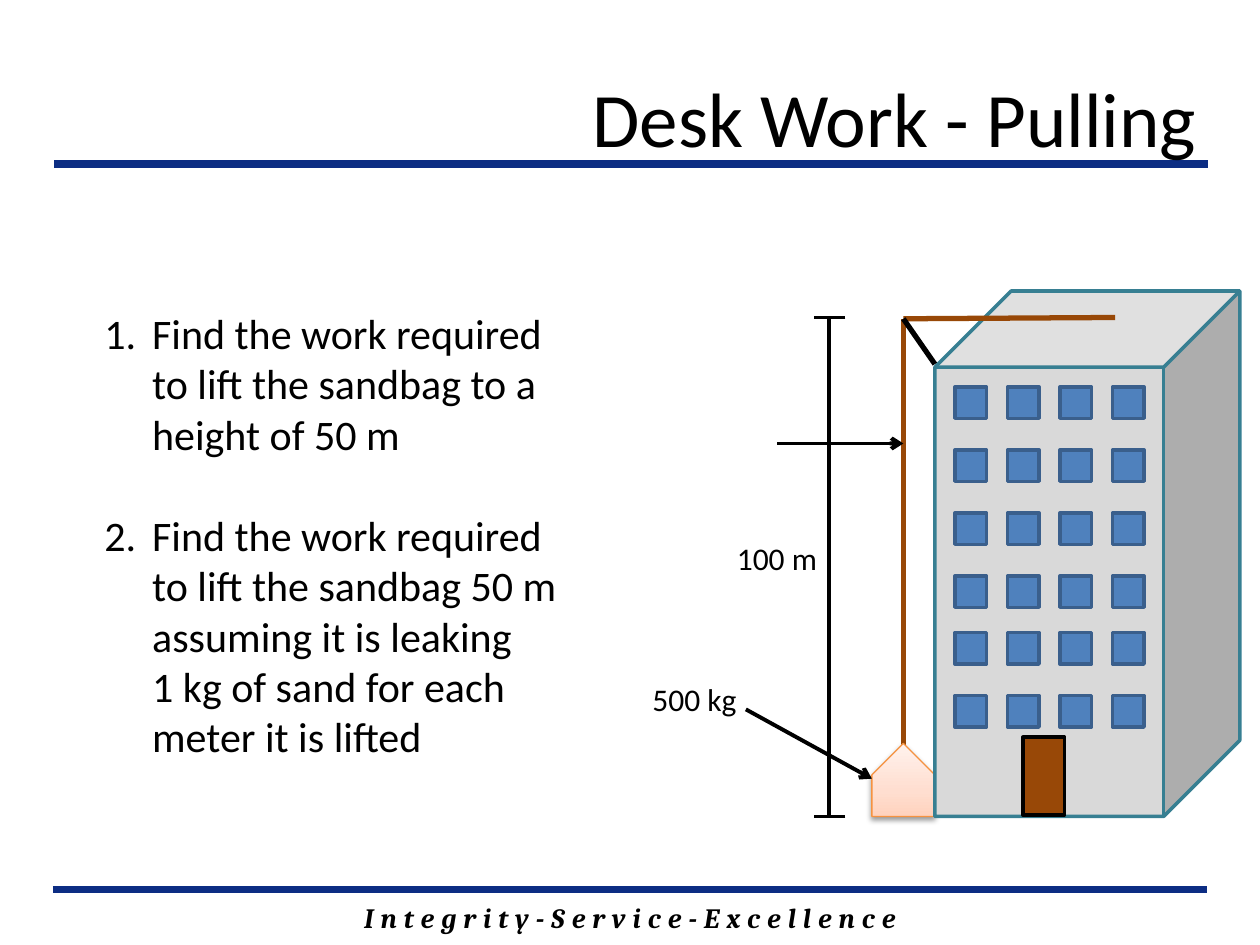
"""Build the 'Desk Work - Pulling' slide: two work problems beside a sandbag hoisted up a building."""
from dataclasses import dataclass

from lxml import etree
from pptx import Presentation
from pptx import util as u
from pptx.dml.color import RGBColor
from pptx.enum import shapes, text
from pptx.oxml import ns, parse_xml


@dataclass(frozen=True)
class Theme:
    ink: str = "000000"
    rule: str = "0C2D83"
    rope: str = "984807"
    wall: str = "D9D9D9"
    wall_edge: str = "377F92"
    window: str = "4F81BD"
    window_edge: str = "3A5F8C"
    bag_edge: str = "F69240"
    bag_stops: tuple = ((0, "FFD2BD"), (35, "FFDED0"), (100, "FFF2ED"))
    body_font: str = "Calibri"
    motto_font: str = "Cambria"
    title_size: int = 44
    body_size: int = 24
    label_size: int = 18
    motto_size: int = 16


theme = Theme()
prs = Presentation()
prs.slide_width, prs.slide_height = u.Inches(10), u.Inches(7.5)
slide = prs.slides.add_slide(prs.slide_layouts[6])


def draw_line(start, end, color, width, arrow=False):
    line = slide.shapes.add_connector(
        shapes.MSO_CONNECTOR.STRAIGHT, *(u.Inches(v) for v in start + end))
    line.line.color.rgb = RGBColor.from_string(color)
    line.line.width = u.Pt(width)
    if arrow:
        etree.SubElement(line.line._get_or_add_ln(), ns.qn("a:tailEnd"), type="arrow")
    etree.SubElement(line._element.spPr, ns.qn("a:effectLst"))


def write(at, paragraphs, size, font=theme.body_font, align=text.PP_ALIGN.LEFT):
    frame = slide.shapes.add_textbox(*(u.Inches(v) for v in at)).text_frame
    frame.word_wrap = True
    for number, content in enumerate(paragraphs):
        paragraph = frame.add_paragraph() if number else frame.paragraphs[0]
        paragraph.alignment = align
        for row, wording in enumerate(content.split("\n")):
            if row:
                paragraph.add_line_break()
            run = paragraph.add_run()
            run.text = wording
            run.font.name, run.font.size = font, u.Pt(size)
            run.font.color.rgb = RGBColor.from_string(theme.ink)
    return frame


motto = write((1.42, 7.1, 7.17, 0.37), ["I n t e g r i t y - S e r v i c e - E x c e l l e n c e"],
              theme.motto_size, theme.motto_font, text.PP_ALIGN.CENTER)
motto_run = motto.paragraphs[0].runs[0]
motto_run.font.bold = motto_run.font.italic = True
motto_run._r.get_or_add_rPr().set("spc", "25")

draw_line((0.42, 7.06), (9.58, 7.06), theme.rule, 4.5)
draw_line((0.43, 1.3), (9.59, 1.3), theme.rule, 4.5)
draw_line((7.17, 5.94), (7.17, 2.53), theme.rope, 3)

sandbag = slide.shapes.add_shape(
    shapes.MSO_SHAPE.SNIP_2_SAME_RECTANGLE, *(u.Inches(v) for v in (6.92, 5.9, 0.5, 0.58)))
sandbag.adjustments[0], sandbag.adjustments[1] = 0.5, 0
sandbag.fill.gradient()
sandbag.fill.gradient_angle = 90
stops = sandbag._element.spPr.find(".//" + ns.qn("a:gsLst"))
stops.clear()
for position, color in theme.bag_stops:
    stop = etree.SubElement(stops, ns.qn("a:gs"), pos=str(position * 1000))
    etree.SubElement(stop, ns.qn("a:srgbClr"), val=color)
sandbag.line.color.rgb = RGBColor.from_string(theme.bag_edge)
sandbag.line.width = u.Pt(0.75)
sandbag._element.spPr.append(parse_xml(
    f'<a:effectLst {ns.nsdecls("a")}><a:outerShdw blurRad="{u.Pt(3.1)}" dist="{u.Pt(1.6)}" '
    f'dir="5400000" rotWithShape="0"><a:srgbClr val="{theme.ink}"><a:alpha val="38000"/>'
    '</a:srgbClr></a:outerShdw></a:effectLst>'))

title = write((1.8, 0.3, 7.8, 1.25), ["Desk Work - Pulling"], theme.title_size,
              align=text.PP_ALIGN.RIGHT)
title.vertical_anchor = text.MSO_ANCHOR.MIDDLE

rectangle = shapes.MSO_SHAPE.RECTANGLE
building = [(shapes.MSO_SHAPE.CUBE, (7.42, 2.31, 2.42, 4.17), theme.wall, theme.wall_edge)]
for top in (3.07, 3.57, 4.07, 4.57, 5.02, 5.52):
    for column in range(4):
        building.append((rectangle, (7.58 + column * 5 / 12, top, 0.25, 0.25),
                         theme.window, theme.window_edge))
building.append((rectangle, (8.12, 5.85, 0.33, 0.62), theme.rope, theme.ink))
for kind, at, fill, edge in building:
    part = slide.shapes.add_shape(kind, *(u.Inches(v) for v in at))
    part.shadow.inherit = False
    part.fill.solid()
    part.fill.fore_color.rgb = RGBColor.from_string(fill)
    part.line.color.rgb = RGBColor.from_string(edge)
    part.line.width = u.Pt(2)

draw_line((8.85, 2.52), (7.17, 2.53), theme.rope, 3)
draw_line((7.17, 2.53), (7.42, 2.89), theme.ink, 3)
draw_line((6.58, 2.53), (6.58, 6.48), theme.ink, 2.25)
for height in (2.52, 6.48):
    draw_line((6.71, height), (6.46, height), theme.ink, 2.25)
write((5.75, 4.23, 1, 0.4), ["100 m"], theme.label_size)
draw_line((5.92, 5.63), (6.92, 6.18), theme.ink, 2.25, arrow=True)
write((5.08, 5.35, 1, 0.4), ["500 kg"], theme.label_size)
draw_line((6.17, 3.52), (7.17, 3.52), theme.ink, 2.25, arrow=True)

problems = write((0.73, 2.39, 4.47, 3.74), [
    "Find the work required\nto lift the sandbag to a\nheight of 50 m",
    "Find the work required\nto lift the sandbag 50 m\nassuming it is leaking\n"
    "1 kg of sand for each\nmeter it is lifted",
], theme.body_size)
for problem in problems.paragraphs:
    properties = problem._p.get_or_add_pPr()
    properties.set("marL", str(u.Inches(0.38)))
    properties.set("indent", str(u.Inches(-0.38)))
    etree.SubElement(properties, ns.qn("a:buAutoNum"), type="arabicPeriod")
problems.paragraphs[1].space_before = u.Pt(29)

prs.save("out.pptx")
